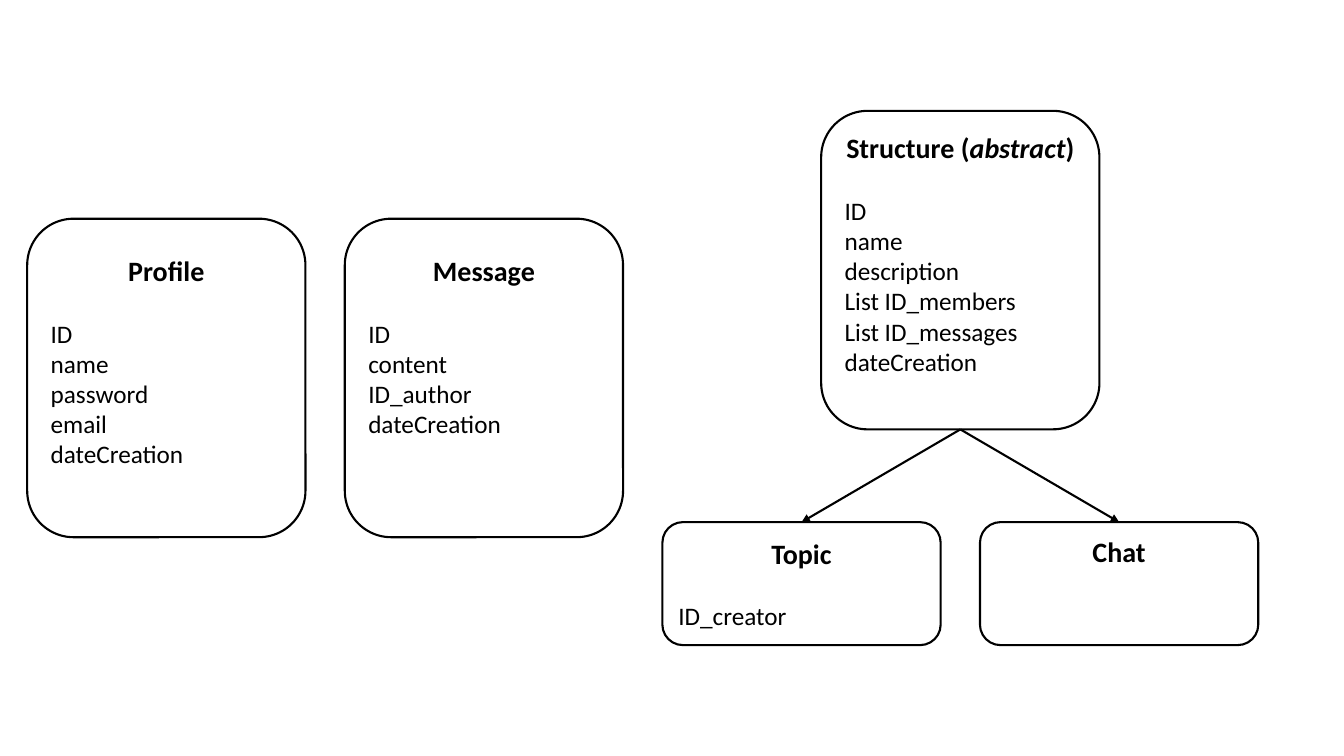
from lxml import etree
from pptx import Presentation
from pptx.dml.color import RGBColor
from pptx.enum import shapes, text
from pptx.oxml.ns import qn
from pptx.util import Inches, Pt

# name: title runs (text, italic), fields, column, top, height, top margin
ENTITIES = {
    "Profile": ([("Profile", False)],
                ["ID", "name", "password", "email", "dateCreation"],
                0, 2.17, 3.16, 0.21),
    "Message": ([("Message", False)],
                ["ID", "content", "ID_author", "dateCreation"],
                1, 2.17, 3.16, 0.21),
    "Topic": ([("Topic", False)], ["ID_creator"], 2, 5.18, 1.22, 0.08),
    "Chat": ([("Chat", False)], [], 3, 5.18, 1.22, 0.06),
    "Structure": ([("Structure (", False), ("abstract", True), (")", False)],
                  ["ID", "name", "description", "List ID_members",
                   "List ID_messages", "dateCreation"],
                  2.5, 1.1, 3.16, 0.06),
}
INHERITANCE = [("Structure", "Topic"), ("Structure", "Chat")]

THEME = {"ink": RGBColor(0, 0, 0), "font": "Calibri", "title": Pt(20),
         "field": Pt(18), "line": Pt(1.5), "title_gap": Pt(22)}
LEFT, PITCH, BOX_WIDTH = 0.27, 3.15, 2.76
TOP_SIDE, BOTTOM_SIDE = 0, 2


def add_run(p, words, size, bold=False, italic=False):
    r = p.add_run()
    r.text = words
    r.font.name, r.font.size = THEME["font"], size
    r.font.bold, r.font.italic = bold, italic
    r.font.color.rgb = THEME["ink"]


def style_line(line):
    line.color.rgb = THEME["ink"]
    line.width = THEME["line"]


def add_entity(slide, title, fields, column, top, height, margin):
    sp = slide.shapes.add_shape(
        shapes.MSO_SHAPE.ROUNDED_RECTANGLE, Inches(LEFT + column * PITCH),
        Inches(top), Inches(BOX_WIDTH), Inches(height))
    sp.shadow.inherit = False
    sp.fill.background()
    style_line(sp.line)
    tf = sp.text_frame
    tf.word_wrap = True
    tf.vertical_anchor = text.MSO_ANCHOR.TOP
    tf.margin_top = Inches(margin)
    p = tf.paragraphs[0]
    p.alignment = text.PP_ALIGN.CENTER
    for words, italic in title:
        add_run(p, words, THEME["title"], True, italic)
    if fields:
        p.space_after = THEME["title_gap"]
    for field in fields:
        p = tf.add_paragraph()
        p.alignment = text.PP_ALIGN.JUSTIFY
        add_run(p, field, THEME["field"])
    return sp


def add_arrow(slide, parent, child):
    arrow = slide.shapes.add_connector(shapes.MSO_CONNECTOR.STRAIGHT, 0, 0, 0, 0)
    arrow.begin_connect(parent, BOTTOM_SIDE)
    arrow.end_connect(child, TOP_SIDE)
    style_line(arrow.line)
    etree.SubElement(arrow.line._get_or_add_ln(), qn("a:tailEnd"), type="triangle")
    etree.SubElement(arrow._element.spPr, qn("a:effectLst"))


def main():
    prs = Presentation()
    prs.slide_width, prs.slide_height = Inches(13.33), Inches(7.5)
    slide = prs.slides.add_slide(prs.slide_layouts[6])
    boxes = {name: add_entity(slide, *entity) for name, entity in ENTITIES.items()}
    for parent, child in INHERITANCE:
        add_arrow(slide, boxes[parent], boxes[child])
    prs.save("out.pptx")


if __name__ == "__main__":
    main()
